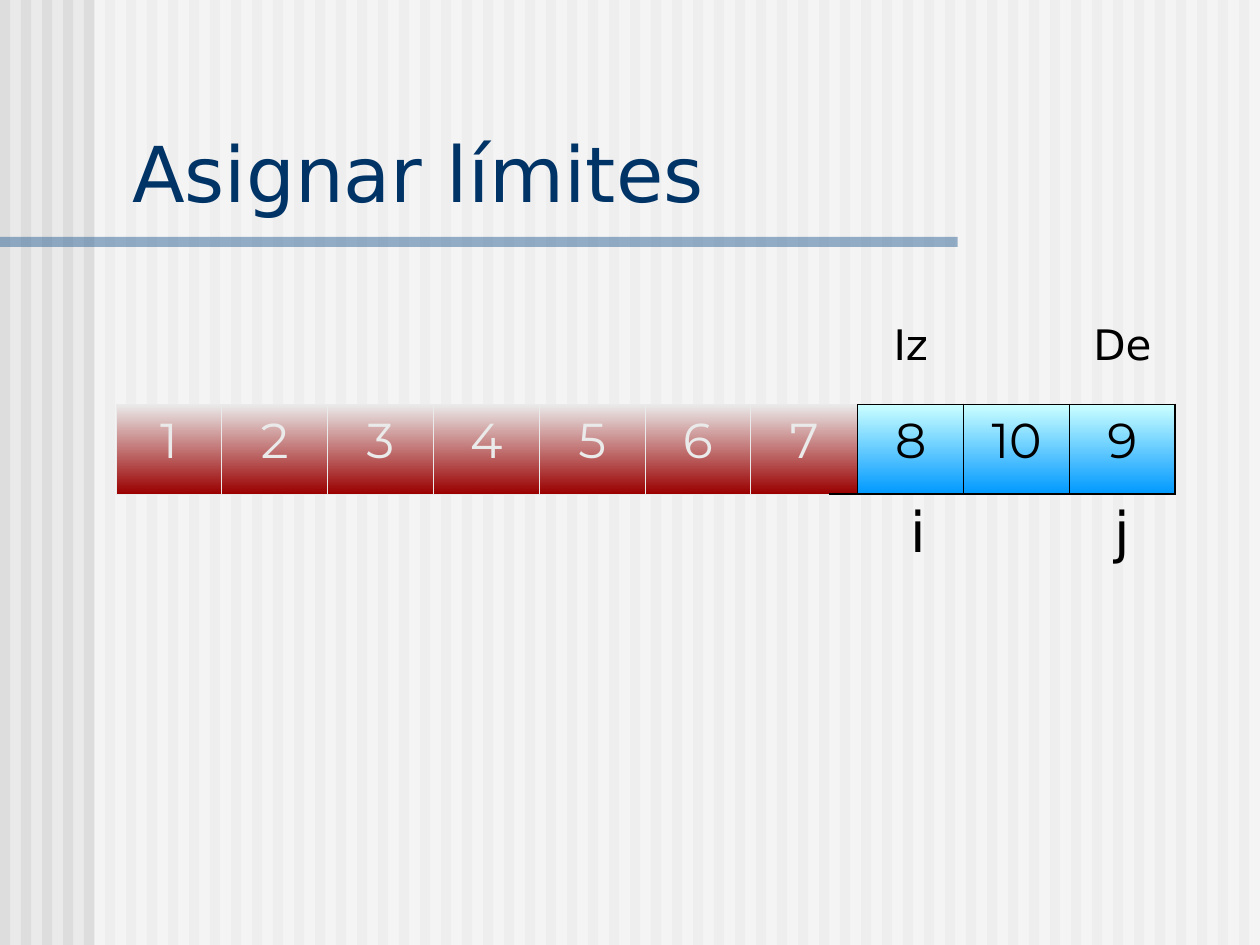
from pptx import Presentation
from pptx.dml.color import RGBColor
from pptx.enum.shapes import MSO_SHAPE
from pptx.enum.text import MSO_ANCHOR, PP_ALIGN
from pptx.oxml.ns import qn
from pptx.util import Inches, Pt
from lxml.etree import SubElement


def color(code):
    return RGBColor.from_string(code)


def bar(left, top, width, height, code, alpha=100):
    shape = slide.shapes.add_shape(
        MSO_SHAPE.RECTANGLE, Inches(left), Inches(top), Inches(width), Inches(height))
    shape.shadow.inherit = False
    shape.line.fill.background()
    shape.fill.solid()
    shape.fill.fore_color.rgb = color(code)
    if alpha < 100:
        tone = shape.fill._xPr.find(qn("a:solidFill"))[0]
        SubElement(tone, qn("a:alpha")).set("val", str(alpha * 1000))


deck = Presentation()
deck.slide_width, deck.slide_height = Inches(10), Inches(7.5)
slide = deck.slides.add_slide(deck.slide_layouts[6])

# Striped background, veil and title rule
slide.background.fill.solid()
slide.background.fill.fore_color.rgb = color("EAEAEA")
for i in range(60):
    bar(i / 6, 0, 0.08, 7.5, "DDDDDD")
bar(0.75, 0, 9.25, 7.5, "FFFFFF", 50)
bar(0, 1.88, 7.6, 0.08, "336699", 50)

# Title
box = slide.shapes.add_textbox(Inches(0.95), Inches(0.94), Inches(8.93), Inches(0.84))
frame = box.text_frame
frame.word_wrap = True
frame.vertical_anchor = MSO_ANCHOR.BOTTOM
frame.text = "Asignar límites"
font = frame.paragraphs[0].runs[0].font
font.name, font.size = "DejaVu Sans", Pt(44)
font.color.rgb = color("003366")

# Table grid, without a table style
widths = [0.84] * 6 + [0.62, 0.23, 0.84, 0.35, 0.49, 0.84]
table = slide.shapes.add_table(
    3, len(widths), Inches(0.92), Inches(2.5), Inches(sum(widths)), Inches(2.13)).table
table.first_row = table.horz_banding = False
style = table._tbl.tblPr.find(qn("a:tableStyleId"))
style.text = "{2D5ABB26-0587-4C30-8999-92F81FD0307C}"
for col, width in zip(table.columns, widths):
    col.width = Inches(width)
for row in table.rows:
    row.height = Inches(0.71)
for r, first, last in [(0, 6, 7), (0, 9, 10), (1, 6, 7), (1, 9, 10), (2, 7, 9)]:
    table.cell(r, first).merge(table.cell(r, last))

# Text of each row by column, with its font
rows = [
    ({8: "Iz", 11: "De"}, "DejaVu Sans", 24),
    ({0: "1", 1: "2", 2: "3", 3: "4", 4: "5", 5: "6", 6: "7",
      8: "8", 9: "10", 11: "9"}, "Montserrat", 28),
    ({7: "i", 11: "j"}, "DejaVu Sans", 32),
]
pale, thin, thick = ("EAEAEA", 0.45), ("000000", 0.45), ("000000", 1.08)

for r, (words, face, size) in enumerate(rows):
    for c in range(len(widths)):
        cell = table.cell(r, c)
        if cell.is_spanned:
            continue
        done = c < 7
        edge = pale if done else thick

        # Borders: sorted cells pale, open cells black
        if r == 0:
            lines = {"B": edge}
        elif r == 2:
            lines = {"T": edge}
        else:
            right = thick if c == 11 else thin if c >= 6 else pale
            lines = {"L": pale if done else thin, "R": right, "T": edge, "B": edge}
        props = cell._tc.get_or_add_tcPr()
        for side, (code, width) in lines.items():
            line = SubElement(props, qn("a:ln" + side), w=str(Pt(width)))
            paint = SubElement(line, qn("a:solidFill"))
            SubElement(paint, qn("a:srgbClr"), val=code)

        # Fill
        if r == 1:
            cell.fill.gradient()
            cell.fill.gradient_angle = 270
            shades = ("EAEAEA", "9A0000") if done else ("CCFFFF", "0099FF")
            for stop, code in zip(cell.fill.gradient_stops, shades):
                stop.color.rgb = color(code)
        else:
            cell.fill.background()

        # Text
        if c in words:
            cell.text_frame.text = words[c]
            para = cell.text_frame.paragraphs[0]
            para.alignment = PP_ALIGN.CENTER
            font = para.runs[0].font
            font.name, font.size = face, Pt(size)
            font.color.rgb = color("EAEAEA" if r == 1 and done else "000000")

deck.save("out.pptx")
